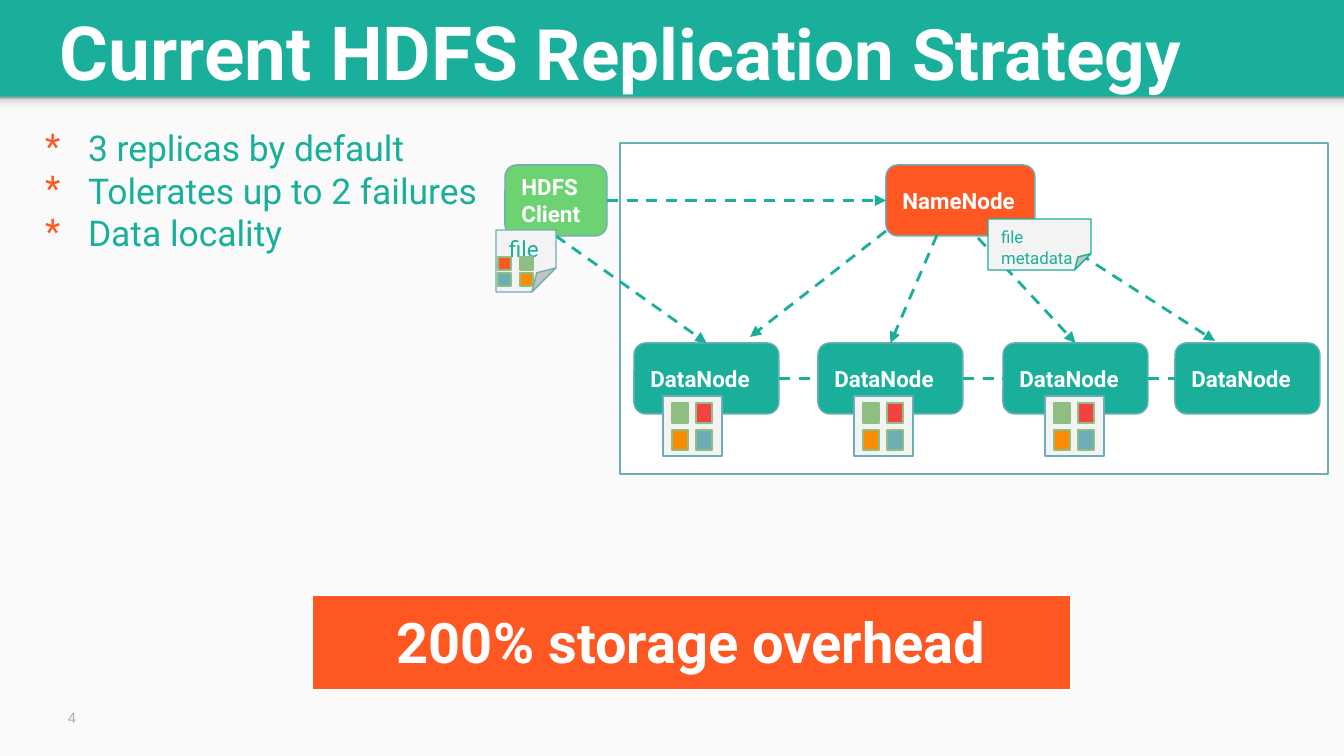
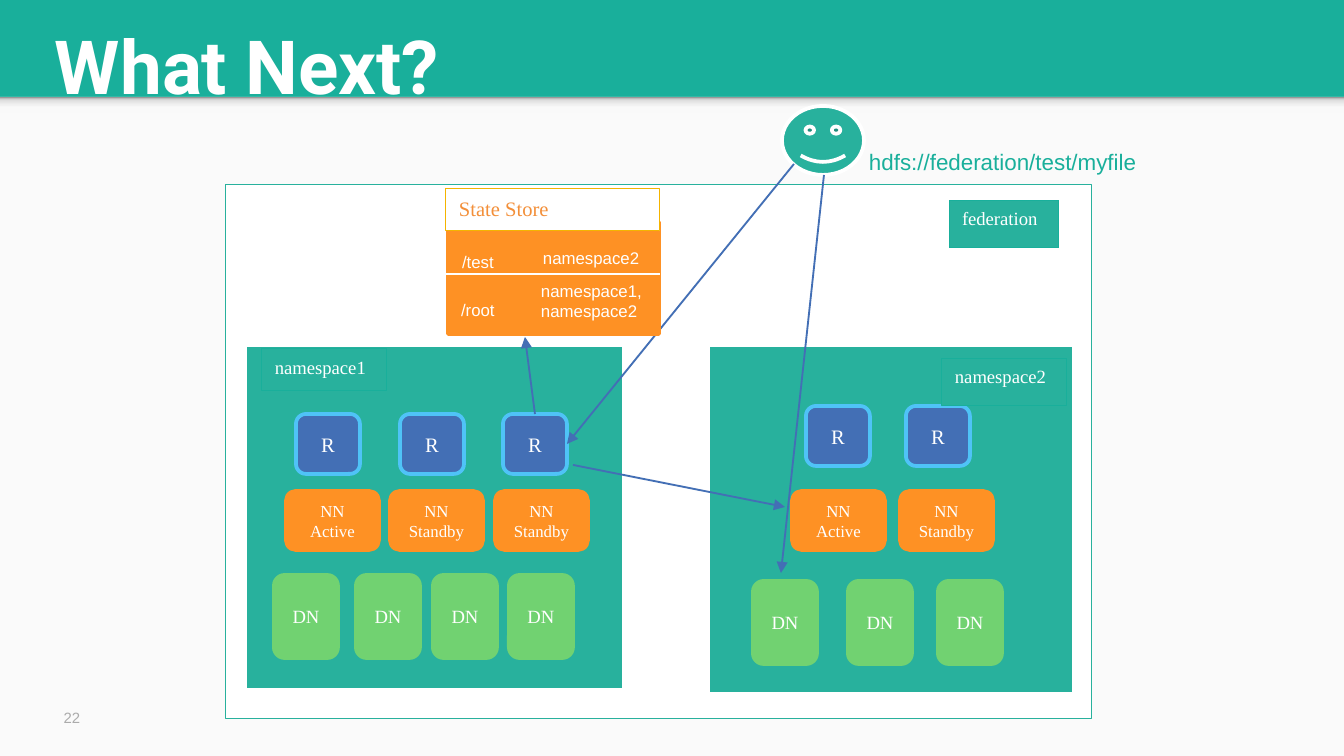
import collections
import copy

import pptx
import pptx.dml.color
import pptx.enum.dml
import pptx.enum.shapes
import pptx.enum.text
import pptx.oxml
import pptx.oxml.ns
import pptx.util

RGB = pptx.dml.color.RGBColor
SHAPE = pptx.enum.shapes.MSO_SHAPE
CONNECTOR = pptx.enum.shapes.MSO_CONNECTOR
ALIGN = pptx.enum.text.PP_ALIGN
ANCHOR = pptx.enum.text.MSO_ANCHOR

TEAL = RGB(0x19, 0xAF, 0x9B)
PANEL_TEAL = RGB(0x28, 0xB1, 0x9D)
WHITE = RGB(0xFF, 0xFF, 0xFF)
PAGE = RGB(0xFA, 0xFA, 0xFA)
PAPER = RGB(0xF3, 0xF3, 0xF3)
GREY = RGB(0xAB, 0xAB, 0xAB)
DEEP_ORANGE = RGB(0xFF, 0x57, 0x22)
ORANGE = RGB(0xFE, 0x91, 0x24)
BLOCK_ORANGE = RGB(0xFB, 0x8C, 0x00)
HEADING_ORANGE = RGB(0xF3, 0x8F, 0x39)
GOLD = RGB(0xF4, 0xB4, 0x00)
RED = RGB(0xF4, 0x42, 0x42)
CLIENT_GREEN = RGB(0x6D, 0xD3, 0x72)
NODE_GREEN = RGB(0x71, 0xD2, 0x71)
SAGE = RGB(0x8F, 0xBE, 0x82)
STEEL = RGB(0x6D, 0xAD, 0xB6)
BLUE = RGB(0x43, 0x6F, 0xB5)
SKY = RGB(0x4F, 0xC3, 0xF7)
SHADOW_STOPS = (
    (0, RGB(0xF9, 0xF9, 0xF9)),
    (0.36, RGB(0xF9, 0xF9, 0xF9)),
    (0.8, RGB(0xDE, 0xDE, 0xDE)),
    (1, RGB(0x99, 0x99, 0x99)),
)

EMU_PER_PX = 914400 / 134.4
SLIDE_WIDTH, SLIDE_HEIGHT, BAND_HEIGHT = 1344, 756, 97
EVEN_INSETS = (13, 13, 13, 13)
SERIF = "Times New Roman"


class Box(collections.namedtuple("Box", "left top width height")):
    def inner(self, left, top, width, height):
        return Box(self.left + left, self.top + top, width, height)

    def point(self, x, y):
        return self.left + x, self.top + y


def emu(px):
    return pptx.util.Emu(round(px * EMU_PER_PX))


def write_text(shape, text, size=12, font="Roboto", colour=WHITE, bold=False,
               align=ALIGN.LEFT, anchor=ANCHOR.TOP, insets=(13, 7, 13, 7),
               line_spacing=None, bullet_indent=None):
    frame = shape.text_frame
    frame.word_wrap = True
    frame.vertical_anchor = anchor
    frame.margin_left, frame.margin_top, frame.margin_right, frame.margin_bottom = map(emu, insets)
    for index, line in enumerate(text.split("\n")):
        paragraph = frame.add_paragraph() if index else frame.paragraphs[0]
        paragraph.alignment = align
        paragraph.line_spacing = line_spacing
        if bullet_indent:
            add_bullet(paragraph, bullet_indent)
        add_run(paragraph, line, size, font, colour, bold)


def add_run(paragraph, text, size, font, colour, bold):
    run = paragraph.add_run()
    run.text = text
    run.font.size = pptx.util.Pt(size)
    run.font.name = font
    run.font.bold = bold
    run.font.color.rgb = colour


def add_bullet(paragraph, indent):
    properties = paragraph._p.get_or_add_pPr()
    properties.set("marL", str(emu(indent)))
    properties.set("indent", str(-emu(indent)))
    namespace = pptx.oxml.ns.nsdecls("a")
    for xml in (f'<a:buClr {namespace}><a:srgbClr val="{DEEP_ORANGE}"/></a:buClr>',
                f'<a:buFont {namespace} typeface="Roboto"/>',
                f'<a:buChar {namespace} char="*"/>'):
        properties.append(pptx.oxml.parse_xml(xml))


def add_text(slide, box, text, **text_format):
    shape = slide.shapes.add_textbox(*map(emu, box))
    write_text(shape, text, **text_format)
    return shape


def add_shape(slide, box, fill, line=None, weight=0.75, kind=SHAPE.RECTANGLE,
              adjustment=None, text=None, **text_format):
    shape = slide.shapes.add_shape(kind, *map(emu, box))
    shape.shadow.inherit = False
    shape.fill.solid()
    shape.fill.fore_color.rgb = fill
    if line is None:
        shape.line.fill.background()
    else:
        shape.line.color.rgb = line
        shape.line.width = pptx.util.Pt(weight)
    if adjustment is not None:
        shape._element.spPr.prstGeom.rewrite_guides([("adj", round(adjustment * 100000))])
    if text:
        write_text(shape, text, **text_format)
    return shape


def connect(slide, begin, end, colour, weight, dashed=False, arrow=True, kind=CONNECTOR.STRAIGHT):
    connector = slide.shapes.add_connector(kind, 0, 0, 0, 0)
    if isinstance(begin[0], int):
        connector.begin_x, connector.begin_y = map(emu, begin)
    else:
        connector.begin_connect(*begin)
    if isinstance(end[0], int):
        connector.end_x, connector.end_y = map(emu, end)
    else:
        connector.end_connect(*end)
    connector.line.color.rgb = colour
    connector.line.width = pptx.util.Pt(weight)
    if dashed:
        connector.line.dash_style = pptx.enum.dml.MSO_LINE.DASH
    namespace = pptx.oxml.ns.nsdecls("a")
    if arrow:
        connector.line._get_or_add_ln().append(
            pptx.oxml.parse_xml(f'<a:tailEnd {namespace} type="triangle"/>'))
    connector._element.spPr.append(pptx.oxml.parse_xml(f"<a:effectLst {namespace}/>"))


def add_header_shadow(slide, box):
    fill = add_shape(slide, box, PAGE).fill
    fill.gradient()
    fill.gradient_angle = 90
    stops = fill._fill._gradFill.gsLst
    for _ in SHADOW_STOPS[len(stops):]:
        stops.append(copy.deepcopy(stops[0]))
    for stop, (position, colour) in zip(fill.gradient_stops, SHADOW_STOPS):
        stop.position = position
        stop.color.rgb = colour


def start_slide(presentation, number):
    slide = presentation.slides.add_slide(presentation.slide_layouts[6])
    slide.background.fill.solid()
    slide.background.fill.fore_color.rgb = TEAL
    add_shape(slide, (0, BAND_HEIGHT, SLIDE_WIDTH, SLIDE_HEIGHT - BAND_HEIGHT), PAGE)
    add_header_shadow(slide, (0, BAND_HEIGHT, SLIDE_WIDTH, 16))
    add_text(slide, (47, 704, 50, 28), str(number), size=8, font="Arial", colour=GREY,
             align=ALIGN.CENTER, anchor=ANCHOR.MIDDLE)
    return slide


def add_title(slide, box, text, **text_format):
    return add_text(slide, box, text, size=40, bold=True, insets=EVEN_INSETS, **text_format)


def block_grid(slide, box, colours, columns, rows, width, height):
    places = [(x, y) for y in rows for x in columns]
    for (x, y), colour in zip(places, colours):
        add_shape(slide, box.inner(x, y, width, height), colour, SAGE)


def replication_diagram(slide, box):
    label = dict(bold=True, anchor=ANCHOR.MIDDLE, insets=EVEN_INSETS)
    node = dict(line=STEEL, kind=SHAPE.ROUNDED_RECTANGLE, **label)
    note = dict(kind=SHAPE.FOLDED_CORNER, colour=TEAL, anchor=ANCHOR.MIDDLE)
    dashed = dict(colour=TEAL, weight=1.5, dashed=True)

    add_shape(slide, box.inner(125, 0, 708, 331), WHITE, STEEL)
    client = add_shape(slide, box.inner(10, 22, 102, 71), CLIENT_GREEN, text="HDFS\nClient", **node)
    name_node = add_shape(slide, box.inner(391, 22, 149, 71), DEEP_ORANGE, text="NameNode", **node)
    data_nodes = [add_shape(slide, box.inner(x, 200, 145, 71), TEAL, text="DataNode", **node)
                  for x in (139, 323, 508, 680)]

    for begin, end in (
        ((client, 2), (data_nodes[0], 0)),
        ((client, 3), (name_node, 1)),
        (box.point(535, 79), box.point(720, 198)),
        (box.point(483, 95), (data_nodes[2], 0)),
        (box.point(442, 92), (data_nodes[1], 0)),
        (box.point(391, 88), box.point(255, 194)),
    ):
        connect(slide, begin, end, **dashed)
    for first, second in zip(data_nodes, data_nodes[1:]):
        connect(slide, (first, 3), (second, 1), arrow=False, kind=CONNECTOR.CURVE, **dashed)

    file_box = box.inner(1, 87, 60, 62)
    add_shape(slide, file_box, PAPER, STEEL, adjustment=0.4, text="file", insets=EVEN_INSETS, **note)
    block_grid(slide, file_box, (DEEP_ORANGE, SAGE, STEEL, BLOCK_ORANGE), (2, 24), (27, 43), 13, 13)
    add_shape(slide, box.inner(493, 76, 103, 51), PAPER, TEAL, adjustment=0.32,
              text="file metadata", size=9, insets=(13, 22, 13, 0), **note)
    for index in range(3):
        replica = box.inner(168 + 191 * index, 253, 59, 60)
        add_shape(slide, replica, PAPER, STEEL, kind=SHAPE.FOLDED_CORNER, adjustment=0)
        block_grid(slide, replica, (SAGE, RED, BLOCK_ORANGE, STEEL), (9, 33), (7, 34), 16, 20)


def replication_slide(presentation):
    slide = start_slide(presentation, 4)
    title = add_title(slide, (47, -7, 1284, 85), "Current HDFS")
    add_run(title.text_frame.paragraphs[0], " Replication Strategy", 38, "Roboto", WHITE, True)
    add_text(slide, (32, 113, 491, 241),
             "3 replicas by default\nTolerates up to 2 failures\nData locality",
             size=19, colour=TEAL, insets=EVEN_INSETS, bullet_indent=43)
    replication_diagram(slide, Box(495, 143, 833, 331))
    add_shape(slide, (312, 595, 759, 95), DEEP_ORANGE, WHITE, text="200% storage overhead",
              size=30, bold=True, align=ALIGN.CENTER, insets=EVEN_INSETS)


def node_row(slide, box, lefts, top, size, texts, fill, line, font_size):
    return [add_shape(slide, box.inner(left, top, *size), fill, line, 2, SHAPE.ROUNDED_RECTANGLE,
                      text=text, size=font_size, font=SERIF, align=ALIGN.CENTER,
                      anchor=ANCHOR.MIDDLE)
            for left, text in zip(lefts, texts)]


def teal_label(slide, box, text):
    add_shape(slide, box, PANEL_TEAL, TEAL, 0.5, text=text, size=10, font=SERIF)


def namespace_panel(slide, box, name, label, routers, router_top, name_nodes, data_nodes, data_top):
    add_shape(slide, box, PANEL_TEAL, WHITE, 2)
    states = ["NN\nActive"] + ["NN\nStandby"] * (len(name_nodes) - 1)
    node_row(slide, box, data_nodes, data_top, (64, 83), ["DN"] * len(data_nodes),
             NODE_GREEN, NODE_GREEN, 10)
    node_row(slide, box, name_nodes, 146, (93, 59), states, ORANGE, ORANGE, 9)
    router_shapes = node_row(slide, box, routers, router_top, (64, 60), ["R"] * len(routers),
                             BLUE, SKY, 11)
    teal_label(slide, box.inner(*label), name)
    return router_shapes


def state_store(slide, box):
    add_shape(slide, box.inner(2, 33, 211, 112), ORANGE, ORANGE, 2)
    for left, top, width, height, text in (
        (3, 56, 63, 34, "/test"),
        (84, 52, 129, 34, "namespace2"),
        (82, 85, 138, 54, "namespace1,\nnamespace2"),
        (2, 104, 63, 34, "/root"),
    ):
        add_text(slide, box.inner(left, top, width, height), text, size=9, font="Arial")
    connect(slide, box.point(214, 85), box.point(0, 85), WHITE, 0.75, arrow=False)
    add_shape(slide, box.inner(0, 0, 214, 42), WHITE, GOLD, 0.5, text="State Store",
              size=11, font=SERIF, colour=HEADING_ORANGE)


def federation_diagram(slide, box):
    add_shape(slide, box, WHITE, PANEL_TEAL, 0.5)
    namespace_panel(slide, box.inner(482, 160, 366, 349), "namespace2", (234, 13, 125, 48),
                    (98, 198), 61, (84, 192), (45, 140, 230), 236)
    routers = namespace_panel(slide, box.inner(19, 160, 379, 345), "namespace1", (17, 4, 125, 42),
                              (51, 155, 258), 69, (41, 145, 250), (29, 111, 188, 264), 230)
    add_shape(slide, box.inner(556, -79, 82, 69), PANEL_TEAL, WHITE, 2, SHAPE.SMILEY_FACE, 0.05)
    for begin, end in (
        ((routers[2], 0), box.point(299, 152)),
        (box.point(347, 280), box.point(559, 322)),
        (box.point(568, -21), (routers[2], 3)),
        (box.point(598, -10), box.point(555, 388)),
    ):
        connect(slide, begin, end, BLUE, 1)
    state_store(slide, box.inner(220, 4, 214, 146))
    add_text(slide, box.inner(630, -44, 305, 40), "hdfs://federation/test/myfile",
             font="Arial", colour=TEAL)
    teal_label(slide, box.inner(723, 15, 110, 48), "federation")


def federation_slide(presentation):
    slide = start_slide(presentation, 22)
    add_title(slide, (42, -7, 1208, 114), "What Next?", line_spacing=1.15)
    federation_diagram(slide, Box(226, 185, 866, 534))


def main():
    presentation = pptx.Presentation()
    presentation.slide_width = emu(SLIDE_WIDTH)
    presentation.slide_height = emu(SLIDE_HEIGHT)
    replication_slide(presentation)
    federation_slide(presentation)
    presentation.save("out.pptx")


if __name__ == "__main__":
    main()
